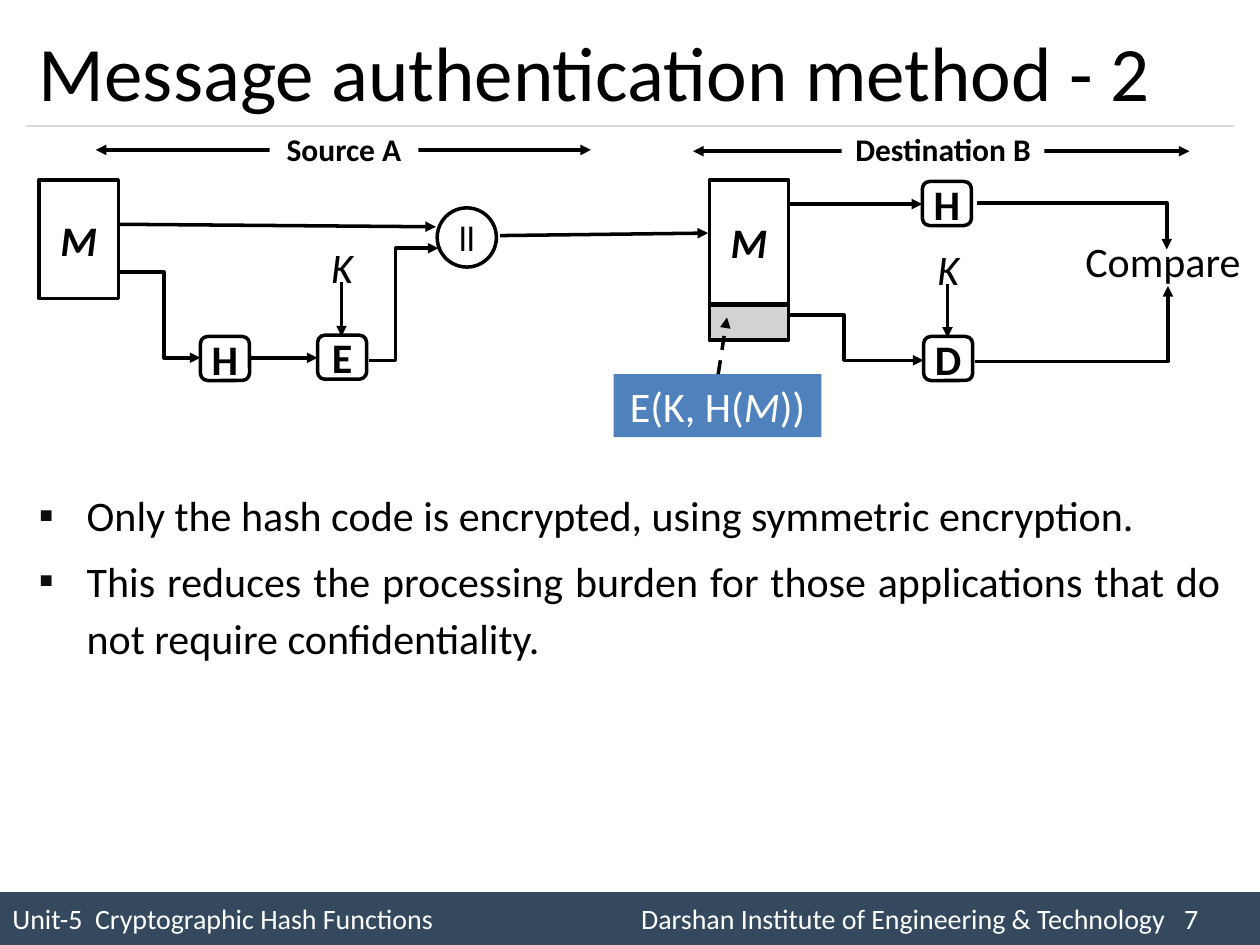
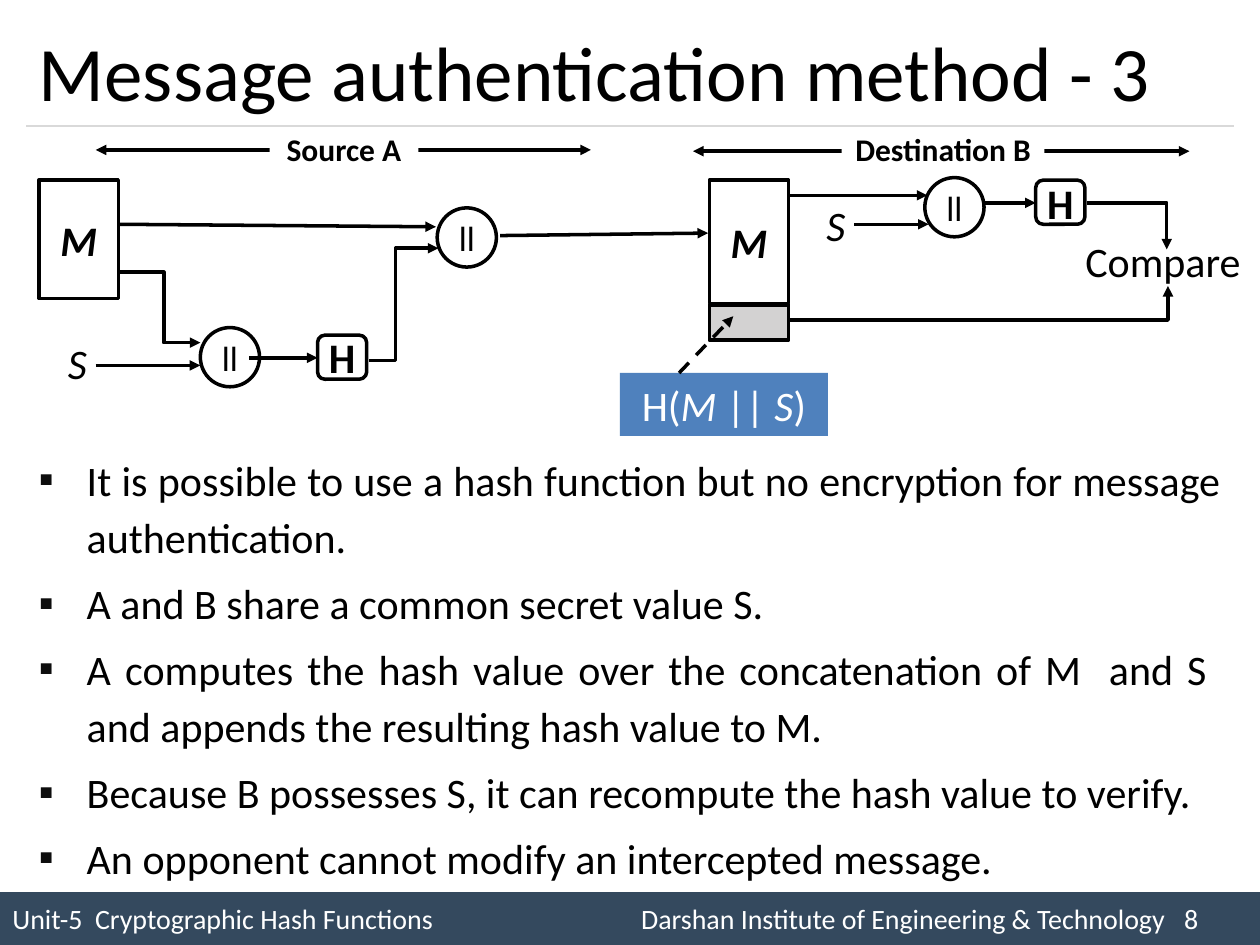
from dataclasses import dataclass
from lxml import etree
from pptx import Presentation
from pptx.dml.color import RGBColor
from pptx.enum.dml import MSO_LINE
from pptx.enum.shapes import MSO_CONNECTOR, MSO_SHAPE
from pptx.enum.text import MSO_ANCHOR, PP_ALIGN
from pptx.oxml.ns import qn
from pptx.util import Inches, Pt


@dataclass(frozen=True)
class Theme:
    font: str = "Calibri"
    ink: RGBColor = RGBColor(0, 0, 0)
    paper: RGBColor = RGBColor(255, 255, 255)
    band: RGBColor = RGBColor(0x34, 0x49, 0x5E)
    rule: RGBColor = RGBColor(0xD9, 0xD9, 0xD9)
    hash_part: RGBColor = RGBColor(0xD3, 0xD2, 0xD2)
    callout: RGBColor = RGBColor(0x4F, 0x81, 0xBD)
    bullet: str = "0D0D0D"
    title_size: int = 44
    body_size: int = 24
    join_size: int = 20
    side_size: int = 18
    footer_size: int = 16
    stroke: float = 2


T = Theme()


def add_box(slide, kind, at, text, size=T.body_size, color=T.ink, bold=False,
            fill=None, outlined=False, align=PP_ALIGN.CENTER):
    """Add a shape, or a text box if kind is None; text between * is italic."""
    pos = [Inches(v) for v in at]
    if kind is None:
        sp = slide.shapes.add_textbox(*pos)
    else:
        sp = slide.shapes.add_shape(kind, *pos)
        sp.shadow.inherit = False
        sp.fill.solid()
        sp.fill.fore_color.rgb = fill or T.paper
        if outlined:
            sp.line.color.rgb = T.ink
            sp.line.width = Pt(T.stroke)
        else:
            sp.line.fill.background()
    tf = sp.text_frame
    tf.word_wrap = align != PP_ALIGN.CENTER
    tf.vertical_anchor = MSO_ANCHOR.MIDDLE
    for i, line in enumerate(text.split("\n")):
        p = tf.add_paragraph() if i else tf.paragraphs[0]
        p.alignment = align
        for j, part in enumerate(line.split("*")):
            if part:
                r = p.add_run()
                r.text = part
                r.font.name, r.font.size = T.font, Pt(size)
                r.font.color.rgb = color
                r.font.bold, r.font.italic = bold, j % 2 == 1
    return sp


def add_path(slide, points, ends=("tailEnd",), color=T.ink, width=T.stroke, dash=None):
    """Draw a straight connector or, for more than two points, a bent line."""
    pts = [(Inches(x), Inches(y)) for x, y in points]
    if len(pts) == 2:
        sp = slide.shapes.add_connector(MSO_CONNECTOR.STRAIGHT, *pts[0], *pts[1])
    else:
        fb = slide.shapes.build_freeform(*pts[0], scale=1.0)
        fb.add_line_segments(pts[1:], close=False)
        sp = fb.convert_to_shape()
        sp.fill.background()
    sp.line.color.rgb = color
    sp.line.width = Pt(width)
    if dash:
        sp.line.dash_style = dash
    spPr = sp._element.spPr
    for end in ends:
        etree.SubElement(spPr.find(qn("a:ln")), qn("a:" + end), type="triangle")
    etree.SubElement(spPr, qn("a:effectLst"))


RECT, ROUND, OVAL = MSO_SHAPE.RECTANGLE, MSO_SHAPE.ROUNDED_RECTANGLE, MSO_SHAPE.OVAL
BLOCK_W, BLOCK_H, JOIN_D = 0.39, 0.35, 0.47

SLIDES = [
    dict(
        number=2, page=7, body=(0.21, 3.78, 9.58, 2.84),
        points=["Only the hash code is encrypted, using symmetric encryption.",
                "This reduces the processing burden for those applications that do "
                "not require confidentiality."],
        blocks=[("H", 1.59, 2.67), ("E", 2.52, 2.66), ("H", 7.32, 1.44), ("D", 7.33, 2.67)],
        joins=[],
        inputs=[("K", 2.53, 1.87), ("K", 7.34, 1.88)],
        paths=[
            [(0.94, 2.16), (1.3, 2.16), (1.3, 2.84), (1.59, 2.84)],
            [(2.71, 2.24), (2.71, 2.67)],
            [(6.26, 1.62), (7.32, 1.62)],
            [(7.52, 2.25), (7.52, 2.68)],
            [(6.26, 2.5), (6.7, 2.5), (6.7, 2.86), (7.33, 2.86)],
            [(7.74, 2.87), (9.27, 2.87), (9.27, 2.27)],
            [(7.75, 1.61), (9.26, 1.61), (9.26, 1.98)],
        ],
        callout=("E(K, H(*M*))", 4.87, 2.97), pointer=[(5.7, 2.97), (5.77, 2.52)],
    ),
    dict(
        number=3, page=8, body=(0.21, 3.5, 9.58, 3.48),
        points=["It is possible to use a hash function but no encryption for message "
                "authentication.",
                "A and B share a common secret value S.",
                "A computes the hash value over the concatenation of M  and S  and "
                "appends the resulting hash value to M.",
                "Because B possesses S, it can recompute the hash value to verify.",
                "An opponent cannot modify an intercepted message."],
        blocks=[("H", 2.52, 2.66), ("H", 8.22, 1.43)],
        joins=[(1.59, 2.6), (7.34, 1.41)],
        inputs=[("S", 0.44, 2.63), ("S", 6.46, 1.53)],
        paths=[
            [(0.94, 2.16), (1.3, 2.16), (1.3, 2.72), (1.59, 2.72)],
            [(0.76, 2.9), (1.59, 2.9)],
            [(6.26, 1.55), (7.36, 1.55)],
            [(6.78, 1.78), (7.37, 1.78)],
            [(7.82, 1.61), (8.22, 1.61)],
            [(6.26, 2.54), (9.27, 2.54), (9.27, 2.27)],
            [(8.63, 1.61), (9.26, 1.61), (9.26, 1.98)],
        ],
        callout=("H(*M* || *S*)", 4.92, 2.96), pointer=[(5.39, 2.96), (5.82, 2.51)],
    ),
]

SHARED_PATHS = [
    [(0.94, 1.78), (3.46, 1.8)],
    [(2.93, 2.86), (3.14, 2.86), (3.14, 1.97), (3.48, 1.97)],
    [(1.98, 2.84), (2.52, 2.84)],
    [(3.97, 1.87), (5.62, 1.85)],
]
SIDES = [
    ("Source A", (2.14, 1.05, 1.18, 0.27), [(0.76, 1.19), (4.69, 1.19)]),
    ("Destination B", (6.68, 1.03, 1.61, 0.3), [(5.5, 1.2), (9.44, 1.2)]),
]

prs = Presentation()
prs.slide_width, prs.slide_height = Inches(10), Inches(7.5)

for item in SLIDES:
    s = prs.slides.add_slide(prs.slide_layouts[6])

    # Footer band, title and rule
    footer = add_box(s, RECT, (0, 7.08, 10, 0.42),
                     "Unit-5  Cryptographic Hash Functions\t"
                     f"Darshan Institute of Engineering & Technology\t{item['page']}",
                     T.footer_size, T.paper, fill=T.band, align=PP_ALIGN.LEFT)
    pPr = footer.text_frame.paragraphs[0]._p.get_or_add_pPr()
    tabs = etree.SubElement(pPr, qn("a:tabLst"))
    for stop in (4.99, 9.3):
        etree.SubElement(tabs, qn("a:tab"), pos=str(Inches(stop)), algn="l")
    add_path(s, [(0.21, 1), (9.79, 1)], ends=(), color=T.rule, width=0.75)
    add_box(s, None, (0.21, 0.12, 9.58, 0.88),
            f"Message authentication method - {item['number']}",
            T.title_size, align=PP_ALIGN.LEFT)

    # Bulleted explanation
    body = add_box(s, None, item["body"], "\n".join(item["points"]), align=PP_ALIGN.JUSTIFY)
    body.text_frame.vertical_anchor = MSO_ANCHOR.TOP
    for i, p in enumerate(body.text_frame.paragraphs):
        p.line_spacing = 1.14
        p.space_before = Pt(4.8 if i else 0)
        pPr = p._p.get_or_add_pPr()
        pPr.set("marL", str(Inches(0.38)))
        pPr.set("indent", str(-Inches(0.38)))
        etree.SubElement(etree.SubElement(pPr, qn("a:buClr")), qn("a:srgbClr"), val=T.bullet)
        etree.SubElement(pPr, qn("a:buFont"), typeface=T.font)
        etree.SubElement(pPr, qn("a:buChar"), char="▪")

    # Source and destination headings
    for name, at, span in SIDES:
        add_path(s, span, ends=("headEnd", "tailEnd"))
        add_box(s, RECT, at, name, T.side_size, bold=True)

    # Message, hash and join blocks
    for x, height in ((0.31, 0.94), (5.63, 0.98)):
        add_box(s, RECT, (x, 1.43, 0.63, height), "*M*", bold=True, outlined=True)
    add_box(s, RECT, (5.63, 2.42, 0.63, 0.28), "", fill=T.hash_part, outlined=True)
    for letter, x, y in item["blocks"]:
        add_box(s, ROUND, (x, y, BLOCK_W, BLOCK_H), letter, bold=True, outlined=True)
    for x, y in [(3.47, 1.65)] + item["joins"]:
        add_box(s, OVAL, (x, y, JOIN_D, JOIN_D), "ll", T.join_size, outlined=True)
    for letter, x, y in item["inputs"]:
        add_box(s, None, (x, y, 0.39, 0.5), f"*{letter}*", align=PP_ALIGN.LEFT)
    add_box(s, None, (8.5, 1.82, 1.46, 0.5), "Compare")

    # Flow arrows and callout
    for points in SHARED_PATHS + item["paths"]:
        add_path(s, points)
    formula, x, y = item["callout"]
    add_box(s, RECT, (x, y, 1.65, 0.5), formula, color=T.paper, fill=T.callout)
    add_path(s, item["pointer"], dash=MSO_LINE.DASH)

prs.save("out.pptx")
